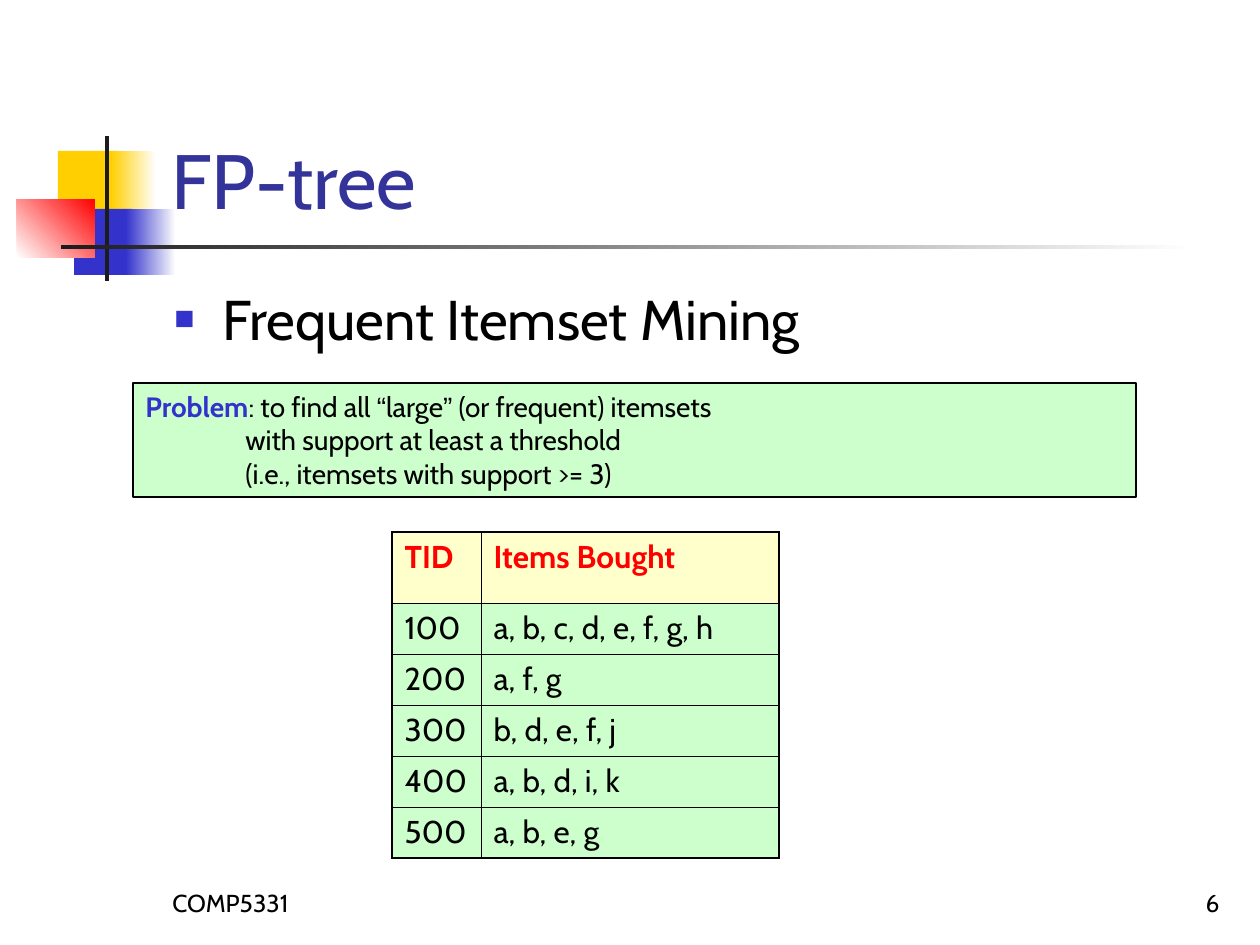
from typing import NamedTuple

from lxml import etree
from pptx import Presentation
from pptx import util as u
from pptx.dml.color import RGBColor
from pptx.enum import shapes, text
from pptx.oxml.ns import qn

EMU_PER_PX = 914400 / 126
FONT = "Cabin"

BLACK = RGBColor(0x00, 0x00, 0x00)
WHITE = RGBColor(0xFF, 0xFF, 0xFF)
CHARCOAL = RGBColor(0x1C, 0x1C, 0x1C)
YELLOW = RGBColor(0xFF, 0xCF, 0x01)
BLUE = RGBColor(0x33, 0x33, 0xCC)
NAVY = RGBColor(0x33, 0x33, 0x99)
RED = RGBColor(0xFF, 0x00, 0x00)
CREAM = RGBColor(0xFF, 0xFF, 0xCC)
MINT = RGBColor(0xCC, 0xFF, 0xCC)


class Area(NamedTuple):
    left: int
    top: int
    width: int
    height: int


class Block(NamedTuple):
    area: Area
    color: RGBColor
    fade_to: RGBColor | None = None
    angle: int = 0


class Label(NamedTuple):
    area: Area
    words: str
    size: int
    color: RGBColor = BLACK
    anchor: text.MSO_ANCHOR = text.MSO_ANCHOR.BOTTOM
    align: text.PP_ALIGN = text.PP_ALIGN.LEFT


class Span(NamedTuple):
    words: str
    font: str = FONT
    color: RGBColor = BLACK
    bold: bool = False


def px(length: int) -> u.Emu:
    return u.Emu(round(length * EMU_PER_PX))


def style(paragraph, size: int, color: RGBColor, bold: bool = False) -> None:
    font = paragraph.font
    font.name, font.size, font.bold = FONT, u.Pt(size), bold
    font.color.rgb = color


def set_indent(paragraph, margin: int, first_line: int = 0) -> None:
    props = paragraph._p.get_or_add_pPr()
    props.set("marL", str(px(margin)))
    props.set("indent", str(px(first_line)))


def add_rectangle(page, area: Area):
    box = page.shapes.add_shape(shapes.MSO_SHAPE.RECTANGLE, *map(px, area))
    box.shadow.inherit = False
    return box


def add_block(page, block: Block) -> None:
    box = add_rectangle(page, block.area)
    box.line.fill.background()
    if block.fade_to is None:
        box.fill.solid()
        box.fill.fore_color.rgb = block.color
        return
    box.fill.gradient()
    box.fill.gradient_angle = block.angle
    for stop, color in zip(box.fill.gradient_stops, (block.color, block.fade_to)):
        stop.color.rgb = color


def add_label(page, label: Label):
    box = page.shapes.add_textbox(*map(px, label.area))
    frame = box.text_frame
    frame.word_wrap = True
    frame.vertical_anchor = label.anchor
    para = frame.paragraphs[0]
    para.text = label.words
    para.alignment = label.align
    style(para, label.size, label.color)
    return para


def add_bullet(paragraph, mark: str, color: RGBColor, percent: int) -> None:
    props = paragraph._p.get_or_add_pPr()
    bullet_color = etree.Element(qn("a:buClr"))
    etree.SubElement(bullet_color, qn("a:srgbClr"), val=str(color))
    parts = (
        bullet_color,
        etree.Element(qn("a:buSzPct"), val=str(percent * 1000)),
        etree.Element(qn("a:buFont"), typeface="Arial"),
        etree.Element(qn("a:buChar"), char=mark),
    )
    for position, part in enumerate(parts):
        props.insert(position, part)


def add_border(cell, side: str, points: float) -> None:
    props = cell._tc.get_or_add_tcPr()
    line = etree.SubElement(props, qn(f"a:ln{side}"), w=str(u.Pt(points)))
    fill = etree.SubElement(line, qn("a:solidFill"))
    etree.SubElement(fill, qn("a:srgbClr"), val=str(BLACK))


def add_problem(page, area: Area, paragraphs: list[list[Span]], hang: int) -> None:
    box = add_rectangle(page, area)
    box.fill.solid()
    box.fill.fore_color.rgb = MINT
    box.line.color.rgb = BLACK
    box.line.width = u.Pt(0.75)
    frame = box.text_frame
    frame.word_wrap = True
    frame.auto_size = text.MSO_AUTO_SIZE.SHAPE_TO_FIT_TEXT
    frame.vertical_anchor = text.MSO_ANCHOR.TOP
    for index, spans in enumerate(paragraphs):
        para = frame.add_paragraph() if index else frame.paragraphs[0]
        para.alignment = text.PP_ALIGN.LEFT
        set_indent(para, hang, 0 if index else -hang)
        for span in spans:
            for number, line in enumerate(span.words.split("\n")):
                if number:
                    para.add_line_break()
                run = para.add_run()
                run.text = line
                run.font.name, run.font.size = span.font, u.Pt(16)
                run.font.bold = span.bold
                run.font.color.rgb = span.color


def add_transactions(page, left: int, top: int, widths: list[int],
                     heights: list[int], rows: list[tuple[str, str]]) -> None:
    area = Area(left, top, sum(widths), sum(heights))
    table = page.shapes.add_table(len(rows), len(widths), *map(px, area)).table
    table.horz_banding = table.first_row = False
    for column, width in zip(table.columns, widths):
        column.width = px(width)
    for row, height in zip(table.rows, heights):
        row.height = px(height)
    last_row, last_column = len(rows) - 1, len(widths) - 1
    for r, values in enumerate(rows):
        for c, value in enumerate(values):
            cell = table.cell(r, c)
            outer = {"L": c == 0, "R": c == last_column, "T": r == 0, "B": r == last_row}
            for side, is_outer in outer.items():
                add_border(cell, side, 1.08 if is_outer else 0.45)
            cell.fill.solid()
            cell.fill.fore_color.rgb = MINT if r else CREAM
            para = cell.text_frame.paragraphs[0]
            para.text = value
            style(para, 18, BLACK if r else RED, bold=r == 0)


BLOCKS = [
    Block(Area(58, 151, 60, 66), YELLOW),
    Block(Area(111, 151, 45, 66), YELLOW, WHITE),
    Block(Area(74, 209, 58, 66), BLUE),
    Block(Area(126, 209, 50, 66), BLUE, WHITE),
    Block(Area(17, 199, 78, 59), WHITE, RED, 45),
    Block(Area(105, 136, 4, 145), CHARCOAL),
    Block(Area(61, 245, 1134, 4), CHARCOAL, WHITE),
]
LABELS = [
    Label(Area(160, 861, 262, 63), "COMP5331", 14),
    Label(Area(970, 861, 262, 63), "6", 14, align=text.PP_ALIGN.RIGHT),
    Label(Area(159, 29, 1074, 202), "FP-tree", 44, NAVY),
]
TOPIC = Label(Area(162, 278, 1071, 567), "Frequent Itemset Mining", 32,
              anchor=text.MSO_ANCHOR.TOP)
PROBLEM = [
    [Span("Problem", color=BLUE, bold=True), Span(": to find all "),
     Span("“", "Arial"), Span("large"), Span("”", "Arial"),
     Span(" (or frequent) itemsets\nwith support at least a threshold")],
    [Span("(i.e., itemsets with support >= 3)")],
]
TRANSACTIONS = [
    ("TID", "Items Bought"),
    ("100", "a, b, c, d, e, f, g, h"),
    ("200", "a, f, g"),
    ("300", "b, d, e, f, j"),
    ("400", "a, b, d, i, k"),
    ("500", "a, b, e, g"),
]

deck = Presentation()
deck.slide_width, deck.slide_height = px(1260), px(945)
page = deck.slides.add_slide(deck.slide_layouts[6])

# Corner ornament, footer and title
for block in BLOCKS:
    add_block(page, block)
for label in LABELS:
    add_label(page, label)

# Bulleted topic
topic = add_label(page, TOPIC)
set_indent(topic, 48, -48)
add_bullet(topic, "■", BLUE, 60)

# Problem statement and transaction table
add_problem(page, Area(133, 383, 1003, 114), PROBLEM, hang=100)
add_transactions(page, 392, 532, [89, 298], [71] + [51] * 5, TRANSACTIONS)

deck.save("out.pptx")
